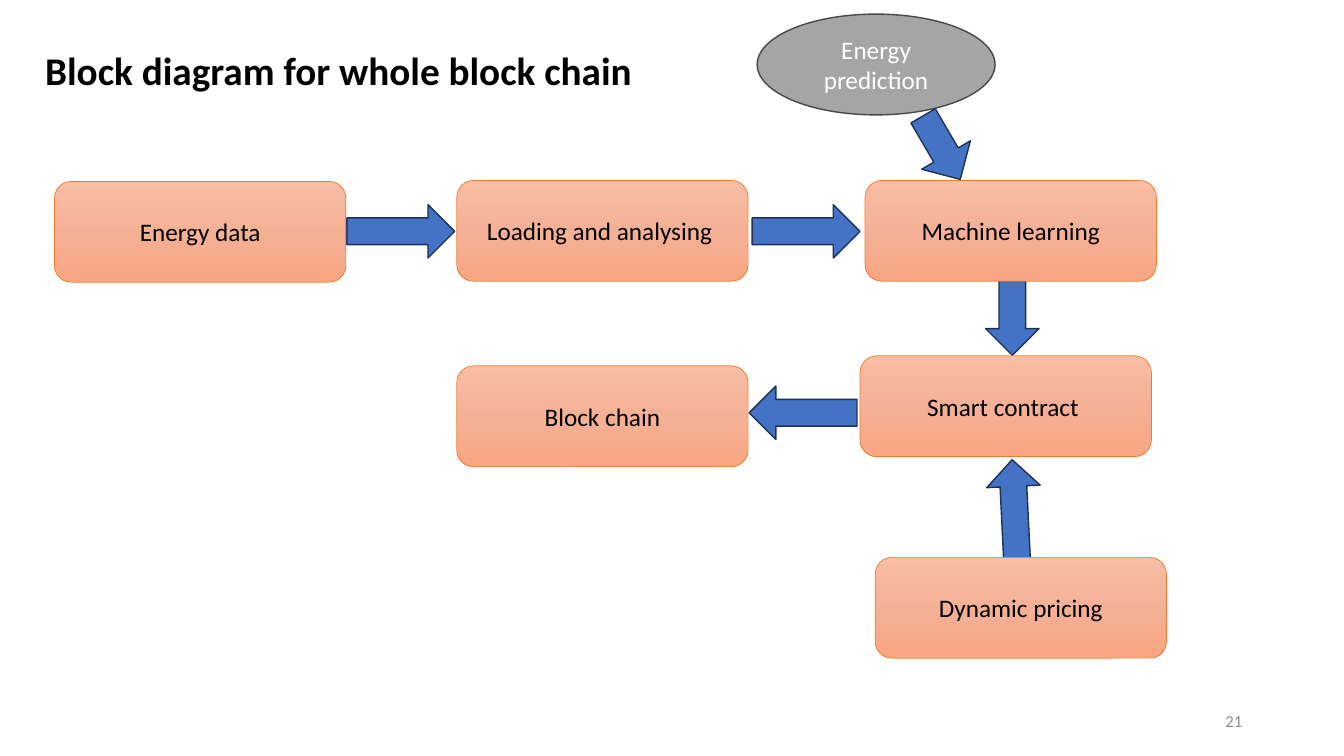
from copy import deepcopy

from pptx import Presentation
from pptx.dml.color import RGBColor
from pptx.enum.shapes import MSO_SHAPE
from pptx.enum.text import MSO_ANCHOR, PP_ALIGN
from pptx.util import Emu, Pt

PX = 9144  # 100 px to the inch

BLACK = RGBColor(0x00, 0x00, 0x00)
WHITE = RGBColor(0xFF, 0xFF, 0xFF)
NUMBER_GREY = RGBColor(0x8C, 0x8C, 0x8C)
ORANGE = RGBColor(0xED, 0x7D, 0x31)
BLUE = RGBColor(0x44, 0x72, 0xC4)
NAVY = RGBColor(0x1E, 0x32, 0x56)
GREY = RGBColor(0xA5, 0xA5, 0xA5)
DARK_GREY = RGBColor(0x48, 0x48, 0x48)
BLOCK_GRADIENT = [
    (0, RGBColor(0xF7, 0xBD, 0xA5)),
    (0.5, RGBColor(0xF5, 0xB1, 0x96)),
    (1, RGBColor(0xF8, 0xA5, 0x82)),
]

BLOCK_WIDTH, BLOCK_HEIGHT = 289, 100
ARROW_LENGTH, ARROW_BREADTH = 107, 53

# Text, left, top
BLOCKS = [
    ("Energy data", 54, 180),
    ("Loading and analysing ", 453, 179),
    ("Machine learning", 858, 179),
    ("Smart contract ", 853, 353),
    ("Block chain", 453, 363),
    ("Dynamic pricing", 868, 553),
]

# Left, top, length, rotation
FLOW_ARROWS = [
    (344, 203, ARROW_LENGTH, 0),
    (746, 203, ARROW_LENGTH, 0),
    (967, 289, 74, 90),
    (743, 383, ARROW_LENGTH, 180),
    (953, 483, ARROW_LENGTH, 267.2),
]


def scale(*lengths):
    return [Emu(length * PX) for length in lengths]


def write_text(shape, text, size, color, alignment, bold=False):
    text_frame = shape.text_frame
    text_frame.word_wrap = True
    text_frame.text = text
    paragraph = text_frame.paragraphs[0]
    paragraph.alignment = alignment
    font = paragraph.runs[0].font
    font.name = "Calibri"
    font.size = Pt(size)
    font.bold = bold
    font.color.rgb = color


def add_label(slide, box, text, size, color, alignment, anchor, bold=False):
    label = slide.shapes.add_textbox(*scale(*box))
    write_text(label, text, size, color, alignment, bold)
    label.text_frame.vertical_anchor = anchor


def add_outlined_shape(slide, kind, box, line_color, line_width):
    shape = slide.shapes.add_shape(kind, *scale(*box))
    shape.shadow.inherit = False
    shape.line.color.rgb = line_color
    shape.line.width = Pt(line_width)
    return shape


def fill_solid(shape, color):
    shape.fill.solid()
    shape.fill.fore_color.rgb = color


def fill_gradient(shape, stops):
    shape.fill.gradient()
    shape.fill.gradient_angle = 270
    stop_list = shape.fill._fill._gradFill.gsLst
    stop_list.append(deepcopy(stop_list[-1]))
    for stop, (position, color) in zip(shape.fill.gradient_stops, stops):
        stop.position = position
        stop.color.rgb = color


def add_block(slide, text, left, top):
    box = (left, top, BLOCK_WIDTH, BLOCK_HEIGHT)
    block = add_outlined_shape(slide, MSO_SHAPE.ROUNDED_RECTANGLE, box, ORANGE, 0.5)
    fill_gradient(block, BLOCK_GRADIENT)
    write_text(block, text, 18, BLACK, PP_ALIGN.CENTER)


def add_ellipse(slide, text, box):
    ellipse = add_outlined_shape(slide, MSO_SHAPE.OVAL, box, DARK_GREY, 1)
    fill_solid(ellipse, GREY)
    write_text(ellipse, text, 18, WHITE, PP_ALIGN.CENTER)


def add_arrow(slide, kind, box, rotation):
    arrow = add_outlined_shape(slide, kind, box, NAVY, 1)
    fill_solid(arrow, BLUE)
    arrow.rotation = rotation


def main():
    presentation = Presentation()
    presentation.slide_width, presentation.slide_height = scale(1333, 750)
    slide = presentation.slides.add_slide(presentation.slide_layouts[6])

    # Title and slide number
    add_label(slide, (35, 41, 648, 57), "Block diagram for whole block chain",
              28, BLACK, PP_ALIGN.LEFT, MSO_ANCHOR.TOP, bold=True)
    add_label(slide, (942, 695, 300, 40), "21",
              12, NUMBER_GREY, PP_ALIGN.RIGHT, MSO_ANCHOR.MIDDLE)

    # Flow arrows lie beneath the blocks
    for left, top, length, rotation in FLOW_ARROWS:
        add_arrow(slide, MSO_SHAPE.RIGHT_ARROW,
                  (left, top, length, ARROW_BREADTH), rotation)
    for text, left, top in BLOCKS:
        add_block(slide, text, left, top)

    # Prediction and its tilted arrow
    add_ellipse(slide, "Energy prediction", (751, 14, 236, 100))
    add_arrow(slide, MSO_SHAPE.DOWN_ARROW, (906, 110, 56, 73), 329.7)

    presentation.save("out.pptx")


if __name__ == "__main__":
    main()
